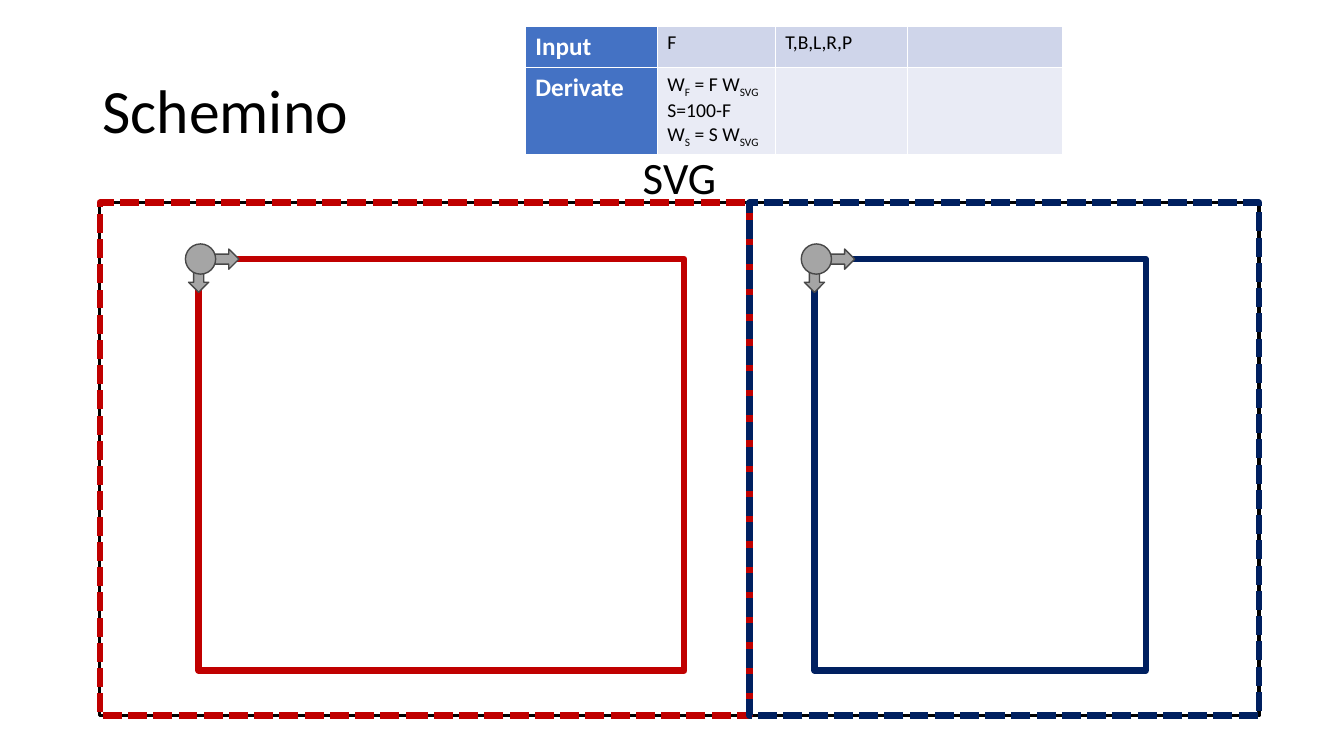
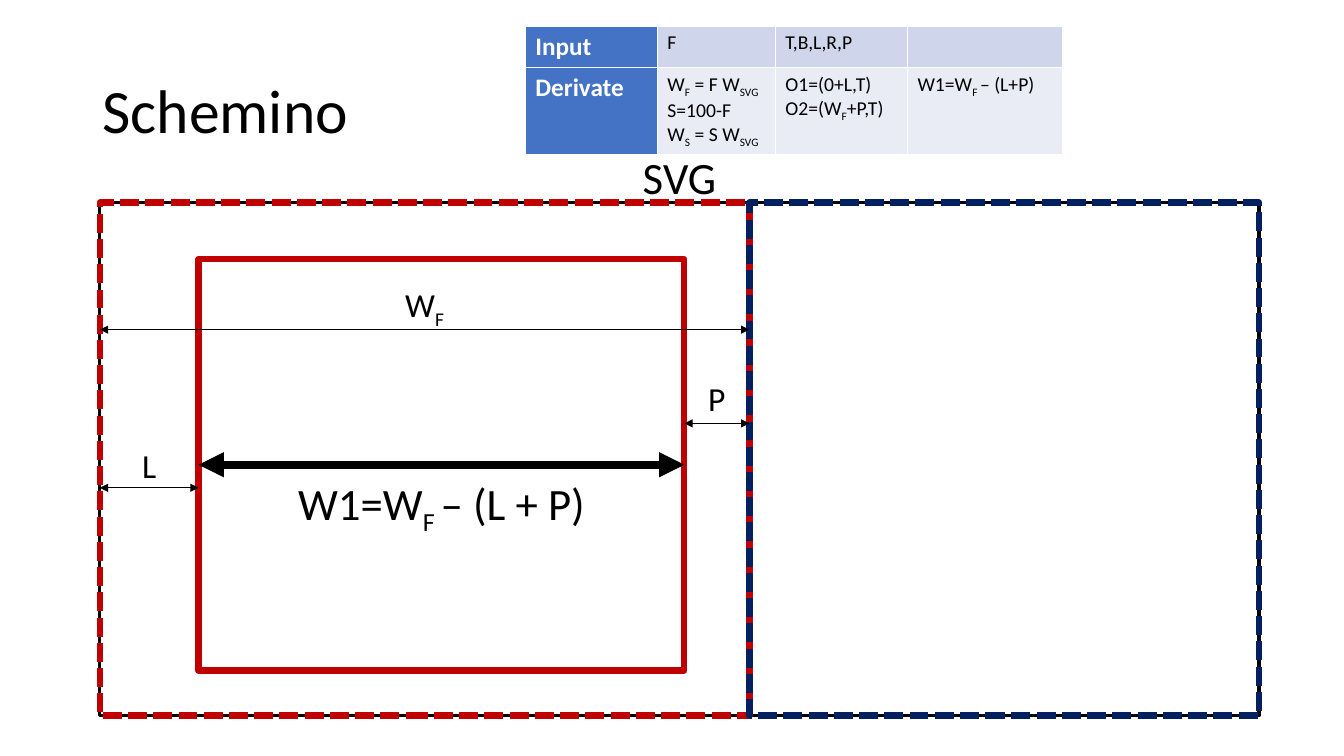
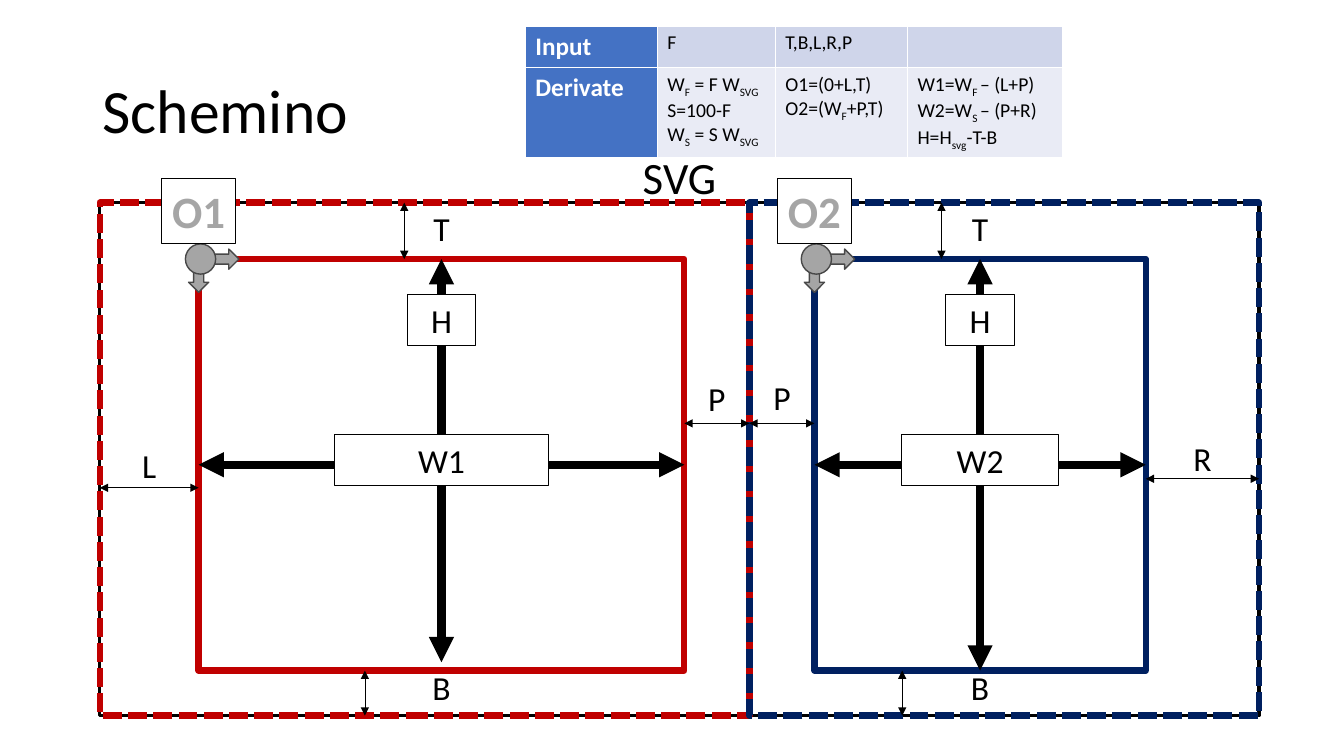
from collections import namedtuple

from lxml.etree import SubElement
from pptx import Presentation
from pptx.dml.color import RGBColor
from pptx.enum.dml import MSO_LINE
from pptx.enum.shapes import MSO_CONNECTOR, MSO_SHAPE
from pptx.enum.text import MSO_ANCHOR, PP_ALIGN
from pptx.oxml.ns import qn
from pptx.util import Inches, Pt

WIDE, TALL = Inches(13.333), Inches(7.5)
POINTS = 5.4
FONT = "Calibri"
HUES = {
    "black": "000000", "white": "FFFFFF", "red": "C00000", "navy": "002060",
    "gray": "A5A5A5", "edge": "484848", "head": "4472C4",
    "band": "CFD5EA", "pale": "E9EBF5",
}

Area = namedtuple("Area", "left top right bottom hue")
SPLIT, GAP = 55.76, 4.84
FRAME = Area(7.43, 26.8, 93.68, 94.67, "black")
PANELS = [FRAME._replace(right=SPLIT, hue="red"), FRAME._replace(left=SPLIT, hue="navy")]
FIRST = Area(FRAME.left + 7.35, 34.27, SPLIT - GAP, 88.7, "red")
SECOND = FIRST._replace(left=SPLIT + GAP, right=FRAME.right - 8.43, hue="navy")

COLS = [9.83, 8.78, 9.83, 11.55]
ROWS = [5.47, 10.67]
INPUTS = ["Input", "F", "T,B,L,R,P", ""]
SHARES = "W_F_ = F W_SVG\nS=100-F\nW_S_ = S W_SVG"
POINTS_O = "O1=(0+L,T)\nO2=(W_F_+P,T)"
WIDTH_1 = "W1=W_F _– (L+P)"
SIZES = WIDTH_1 + "\nW2=W_S _– (P+R)\nH=H_svg_-T-B"


def across(share):
    return round(WIDE * share / 100)


def down(share):
    return round(TALL * share / 100)


def place(left, top, wide, tall):
    return across(left), down(top), across(wide), down(tall)


def color(name):
    return RGBColor.from_string(HUES[name])


def write(frame, text, size, hue="black", bold=False, align=PP_ALIGN.LEFT):
    frame.text = text
    for para in frame.paragraphs:
        para.alignment = align
        head, *rest = para.text.split("_")
        para.text = head
        for piece in rest:
            para.add_run().text = piece
        for index, run in enumerate(para.runs):
            run.font.name = FONT
            run.font.size = Pt(size)
            run.font.bold = bold
            run.font.color.rgb = color(hue)
            if index % 2:
                run.font._element.set("baseline", "-25000")


def shape(parent, kind, spot, fill, hue, weight):
    item = parent.shapes.add_shape(kind, *place(*spot))
    item.shadow.inherit = False
    if fill:
        item.fill.solid()
        item.fill.fore_color.rgb = color(fill)
    else:
        item.fill.background()
    item.line.color.rgb = color(hue)
    item.line.width = Pt(weight)
    return item


def outline(slide, area, weight, fill="white"):
    spot = area.left, area.top, area.right - area.left, area.bottom - area.top
    return shape(slide, MSO_SHAPE.RECTANGLE, spot, fill, area.hue, weight)


def height(size):
    return (size * 1.22 + 7.2) / POINTS


def label(slide, text, left, right, top, size=24):
    spot = place(left, top, right - left, height(size))
    frame = slide.shapes.add_textbox(*spot).text_frame
    frame.word_wrap = True
    write(frame, text, size, align=PP_ALIGN.CENTER)


def tag(slide, text, mid, top, wide, size=24, hue="black", bold=False):
    spot = mid - wide / 2, top, wide, height(size)
    frame = shape(slide, MSO_SHAPE.RECTANGLE, spot, "white", "black", 0.75).text_frame
    frame.word_wrap = not bold
    frame.vertical_anchor = MSO_ANCHOR.TOP
    write(frame, text, size, hue, bold, PP_ALIGN.CENTER)


def arrow(slide, start, end, weight=0.5):
    line = slide.shapes.add_connector(
        MSO_CONNECTOR.STRAIGHT, across(start[0]), down(start[1]), across(end[0]), down(end[1]))
    line.line.color.rgb = color("black")
    line.line.width = Pt(weight)
    for name in ("a:headEnd", "a:tailEnd"):
        SubElement(line.line._get_or_add_ln(), qn(name), type="triangle")
    SubElement(line._element.spPr, qn("a:effectLst"))
    return line


def gap(slide, text, left, right, level, top):
    label(slide, text, left, right, top)
    arrow(slide, (left, level), (right, level))


def rise(slide, text, area, ends, place_x, top):
    label(slide, text, area.left, area.right, top)
    arrow(slide, (place_x, ends[0]), (place_x, ends[1]))


def middle(area):
    return (area.left + area.right) / 2


def breadth(slide, area, box):
    level = (area.top + area.bottom) / 2
    line = arrow(slide, (area.left, level), (area.right, level), 6)
    line.begin_connect(box, 1)
    line.end_connect(box, 3)


def depth(slide, area, box, bottom):
    mid = middle(area)
    line = arrow(slide, (mid, bottom), (mid, area.top), 6)
    line.end_connect(box, 0)
    return line


def marker(slide, area):
    group = slide.shapes.add_group_shape()
    x, y = area.left, area.top
    arrows = [((x, y - 1.33, 3, 2.67), 0), ((x - 1.5, y + 0.4, 3, 2.67), 90)]
    for spot, angle in arrows:
        shape(group, MSO_SHAPE.RIGHT_ARROW, spot, "gray", "edge", 1).rotation = angle
    shape(group, MSO_SHAPE.OVAL, (x - 0.98, y - 2, 2.25, 4), "gray", "edge", 1)


def border(cell):
    props = cell._tc.get_or_add_tcPr()
    for index, side in enumerate(("lnL", "lnR", "lnT", "lnB")):
        line = props.makeelement(qn("a:" + side), {"w": str(Pt(1))})
        SubElement(SubElement(line, qn("a:solidFill")), qn("a:srgbClr"), val=HUES["white"])
        props.insert(index, line)


def table(slide, results):
    spot = place(39.08, 3.47, sum(COLS), sum(ROWS))
    grid = slide.shapes.add_table(len(ROWS), len(COLS), *spot).table
    grid.first_row = grid.horz_banding = False
    for col, wide in zip(grid.columns, COLS):
        col.width = across(wide)
    for r, texts in enumerate([INPUTS, ["Derivate", *results]]):
        grid.rows[r].height = down(ROWS[r])
        for c, text in enumerate(texts):
            cell = grid.cell(r, c)
            cell.fill.solid()
            cell.fill.fore_color.rgb = color(("band", "pale")[r] if c else "head")
            border(cell)
            if c:
                write(cell.text_frame, text, 14)
            else:
                write(cell.text_frame, text, 18, "white", True)


def base(deck, results, areas):
    slide = deck.slides.add_slide(deck.slide_layouts[5])
    title = slide.shapes.title
    title.left, title.top, title.width, title.height = place(6.88, 5.33, 86.25, 19.33)
    title.text_frame.vertical_anchor = MSO_ANCHOR.MIDDLE
    write(title.text_frame, "Schemino", 44)
    title.text_frame.paragraphs[0].line_spacing = 0.9
    outline(slide, FRAME, 2.25)
    label(slide, "SVG", FRAME.left, FRAME.right, 19.2, 32)
    boxes = [outline(slide, area, 4.5) for area in areas]
    for panel in PANELS:
        outline(slide, panel, 4.5, None).line.dash_style = MSO_LINE.SQUARE_DOT
    table(slide, results)
    return slide, boxes


def margins(slide):
    gap(slide, "L", FRAME.left, FIRST.left, 64.53, 58.13)
    gap(slide, "P", FIRST.right, SPLIT, 56, 49.33)


def origins(deck):
    slide, _ = base(deck, [SHARES, "", ""], [FIRST, SECOND])
    for area in (FIRST, SECOND):
        marker(slide, area)


def formula(deck):
    slide, boxes = base(deck, [SHARES, POINTS_O, WIDTH_1], [FIRST])
    margins(slide)
    breadth(slide, FIRST, boxes[0])
    label(slide, "W1=W_F _– (L + P)", FIRST.left, FIRST.right, 62.27, 32)
    gap(slide, "W_F", FRAME.left, SPLIT, 43.6, 36.93)


def summary(deck):
    areas = [FIRST, SECOND]
    slide, boxes = base(deck, [SHARES, POINTS_O, SIZES], areas)
    margins(slide)
    gap(slide, "P", SPLIT, SECOND.left, 56, 49.2)
    gap(slide, "R", SECOND.right, FRAME.right, 63.33, 57.33)
    details = [("1", 30.08, 27.15, 87.6, 15.98), ("2", 70.05, 67.13, SECOND.bottom, 11.63)]
    for area, box, (mark, upper, lower, foot, wide) in zip(areas, boxes, details):
        rise(slide, "T", area, (FRAME.top, area.top), upper, FRAME.top)
        rise(slide, "B", area, (area.bottom, FRAME.bottom), lower, 87.6)
        marker(slide, area)
        tag(slide, "O" + mark, area.left, 23.6, 5.48, 32, "gray", True)
        breadth(slide, area, box)
        line = depth(slide, area, box, foot)
        if foot == area.bottom:
            line.begin_connect(box, 2)
        tag(slide, "W" + mark, middle(area), 57.47, wide)
        tag(slide, "H", middle(area), 39, 5.1)


def main():
    deck = Presentation()
    deck.slide_width, deck.slide_height = WIDE, TALL
    origins(deck)
    formula(deck)
    summary(deck)
    deck.save("out.pptx")


if __name__ == "__main__":
    main()
